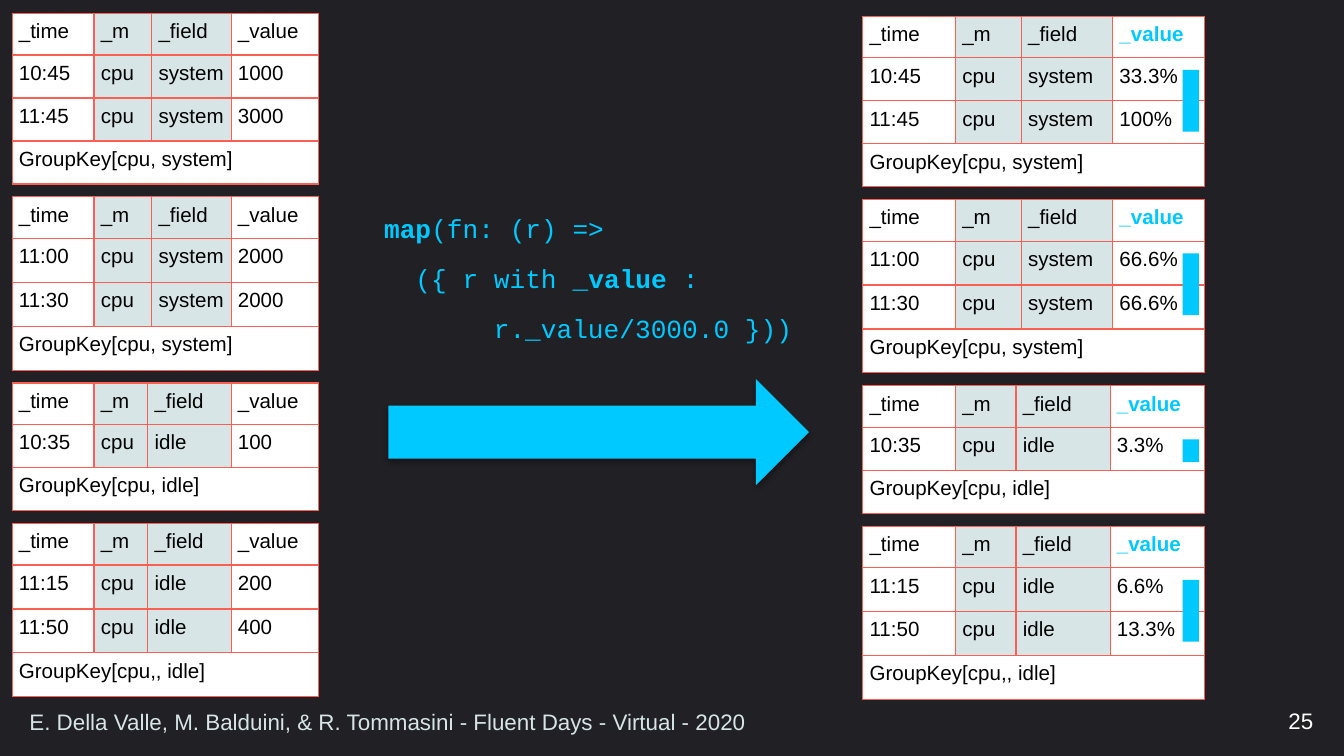
import pptx
import pptx.dml.color
import pptx.enum.shapes
import pptx.enum.text
import pptx.oxml
import pptx.oxml.ns
import pptx.util

THEME = {
    "dark": "202025", "accent": "00C9FF", "pale": "D7E5E6", "white": "FFFFFF",
    "black": "000000", "border": "F95F53",
    "font": "Arial", "code_font": "Courier New",
    "cell_size": 11, "footer_size": 12, "code_size": 14,
}
RGB = pptx.dml.color.RGBColor.from_string
SHAPE = pptx.enum.shapes.MSO_SHAPE
NS = pptx.oxml.ns.nsdecls("a")

prs = pptx.Presentation()
prs.slide_width = pptx.util.Inches(10)
prs.slide_height = prs.slide_width * 9 // 16
s = prs.slides.add_slide(prs.slide_layouts[6])
s.background.fill.solid()
s.background.fill.fore_color.rgb = RGB(THEME["dark"])


def grid(*cells):
    """Turn counts of square grid cells, 1000 across the slide, into lengths."""
    return [round(n * prs.slide_width / 1000) for n in cells]


def write(p, text, size="cell_size", color="black", font="font", bold=False, align=None):
    r = p.add_run()
    r.text = text
    r.font.size = pptx.util.Pt(THEME[size])
    r.font.color.rgb = RGB(THEME[color])
    r.font.name = THEME[font]
    r.font.bold = bold
    if align is not None:
        p.alignment = align


# Arrow from the input tables to the mapped ones
arrow = s.shapes.add_shape(SHAPE.RIGHT_ARROW, *grid(289, 282, 313, 79))
arrow.fill.solid()
arrow.fill.fore_color.rgb = RGB(THEME["accent"])
arrow.line.fill.background()
arrow.shadow.inherit = False
effects = arrow._element.spPr.find(pptx.oxml.ns.qn("a:effectLst"))
effects.append(pptx.oxml.parse_xml(
    f'<a:outerShdw {NS} blurRad="40000" dist="20000" dir="5400000" rotWithShape="0">'
    f'<a:srgbClr val="{THEME["black"]}"><a:alpha val="38000"/></a:srgbClr></a:outerShdw>'))

# Code: indent in characters, then (text, bold) pieces
code = [
    (0, [("map", True), ("(fn: (r) =>", False)]),
    (2, [("({ r with ", False), ("_value ", True), (":", False)]),
    (7, [("r._value/3000.0 }))", False)]),
]
char_width = pptx.util.Pt(THEME["code_size"] * 0.6)
tf = s.shapes.add_textbox(*grid(276, 139, 383, 119)).text_frame
tf.word_wrap = True
for i, (indent, pieces) in enumerate(code):
    p = tf.add_paragraph() if i else tf.paragraphs[0]
    p.line_spacing = 1.6
    p._p.get_or_add_pPr().set("marL", str(indent * char_width))
    for text, bold in pieces:
        write(p, text, size="code_size", color="accent", font="code_font", bold=bold)

# Footer and page number
footers = [
    ((12, 522, 745, 29), "E. Della Valle, M. Balduini, & R. Tommasini - Fluent Days - Virtual - 2020",
     "pale", pptx.enum.text.PP_ALIGN.LEFT),
    ((762, 521, 225, 30), "25", "white", pptx.enum.text.PP_ALIGN.RIGHT),
]
for place, text, color, align in footers:
    tf = s.shapes.add_textbox(*grid(*place)).text_frame
    tf.word_wrap = True
    tf.vertical_anchor = pptx.enum.text.MSO_ANCHOR.MIDDLE
    write(tf.paragraphs[0], text, size="footer_size", color=color, align=align)

# Each group: field, group key, table height, rows of (time, value before, value after)
groups = [
    ("system", "GroupKey[cpu, system]", 127, [("10:45", "1000", "33.3%"), ("11:45", "3000", "100%")]),
    ("system", "GroupKey[cpu, system]", 129, [("11:00", "2000", "66.6%"), ("11:30", "2000", "66.6%")]),
    ("idle", "GroupKey[cpu, idle]", 95, [("10:35", "100", "3.3%")]),
    ("idle", "GroupKey[cpu,, idle]", 129, [("11:15", "200", "6.6%"), ("11:50", "400", "13.3%")]),
]
# Each side: left, top, column widths by field, whether values are mapped
sides = [
    (9, 10, {"system": (61, 43, 59, 65), "idle": (61, 40, 62, 65)}, False),
    (642, 12, {"system": (69, 49, 68, 68), "idle": (69, 45, 70, 70)}, True),
]
header_height, gap = 31, 9.5
for left, top, widths, mapped in sides:
    for field, key, height, records in groups:
        rows = [("_time", "_m", "_field", "_value")]
        rows += [(time, "cpu", field, after if mapped else before) for time, before, after in records]
        rows.append((key, "", "", ""))
        cols = widths[field]
        table = s.shapes.add_table(len(rows), len(cols), *grid(left, top, sum(cols), height)).table
        table.first_row = table.horz_banding = False
        for column, width in zip(table.columns, grid(*cols)):
            column.width = width
        body_height = (height - header_height) / (len(rows) - 1)
        for i, row in enumerate(rows):
            table.rows[i].height = grid(body_height if i else header_height)[0]
            is_key = row[0] == key
            for j, text in enumerate(row):
                cell = table.cell(i, j)
                cell.margin_left = cell.margin_right = cell.margin_top = cell.margin_bottom = grid(5)[0]
                tcPr = cell._tc.get_or_add_tcPr()
                for edge in ("lnL", "lnR", "lnT", "lnB"):
                    tcPr.append(pptx.oxml.parse_xml(
                        f'<a:{edge} {NS} w="{pptx.util.Pt(0.75)}"><a:solidFill>'
                        f'<a:srgbClr val="{THEME["border"]}"/></a:solidFill></a:{edge}>'))
                cell.fill.solid()
                in_key = j in (1, 2) and not is_key
                cell.fill.fore_color.rgb = RGB(THEME["pale" if in_key else "white"])
                if text:
                    changed = mapped and text == "_value"
                    write(cell.text_frame.paragraphs[0], text,
                          color="accent" if changed else "black", bold=changed)
        table.cell(len(rows) - 1, 0).merge(table.cell(len(rows) - 1, len(cols) - 1))
        if mapped:
            bar_height = 46 if len(records) > 1 else 17
            bar = s.shapes.add_shape(SHAPE.RECTANGLE, *grid(880, top + 40, 12, bar_height))
            bar.fill.solid()
            bar.fill.fore_color.rgb = RGB(THEME["accent"])
            bar.line.fill.background()
            bar.shadow.inherit = False
        top += height + gap

prs.save("out.pptx")
